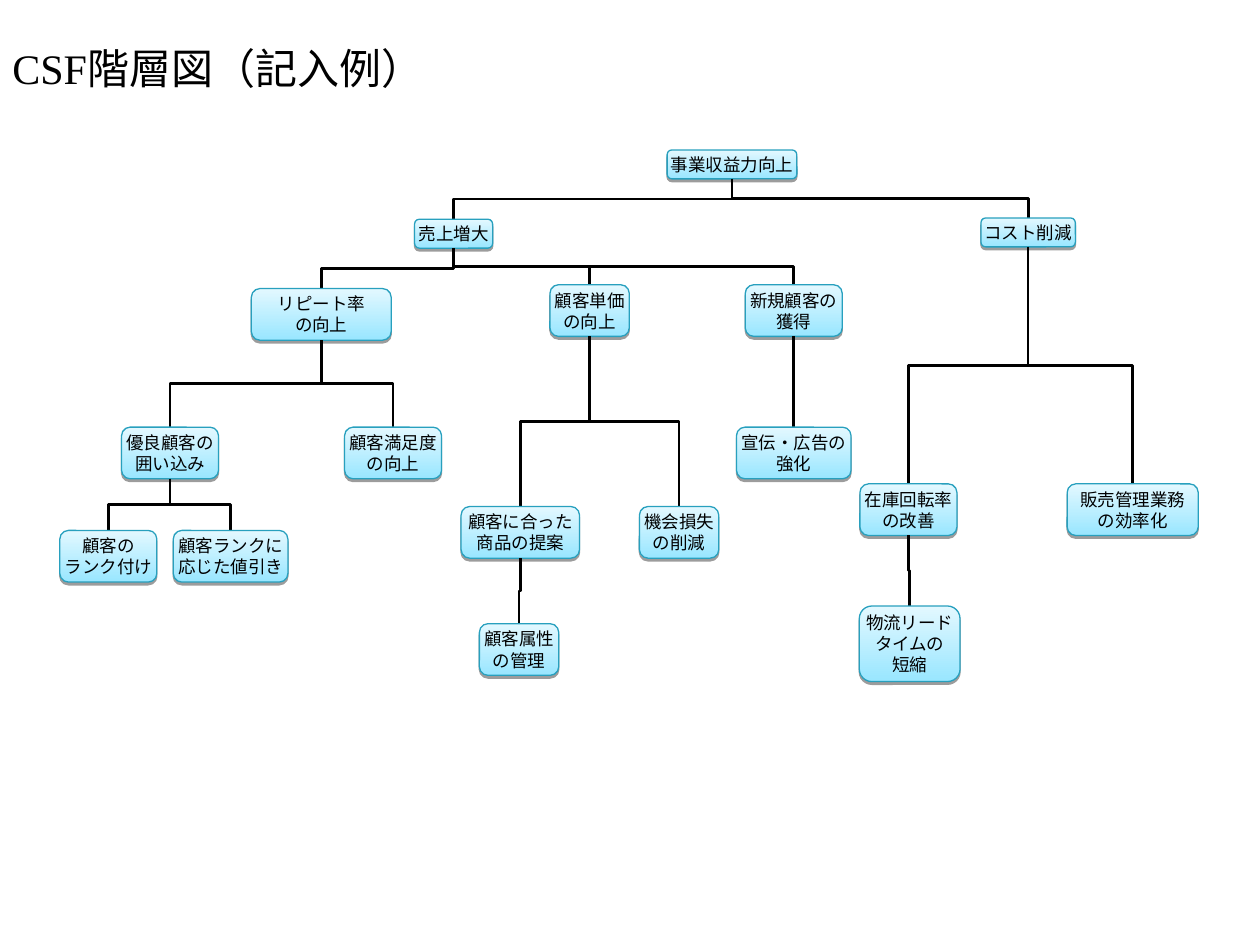
from dataclasses import dataclass

import pptx
import pptx.dml.color
import pptx.enum.shapes
import pptx.enum.text
import pptx.oxml
import pptx.oxml.ns
import pptx.util

WIDE, HIGH = pptx.util.Inches(10), pptx.util.Inches(7.5)
COL, ROW = WIDE // 1000, HIGH // 750  # fine grid over the slide
TALL = {1: 23, 2: 41, 3: 60}  # box height in rows, by lines of text
GOTHIC, ROMAN = "Noto Sans CJK JP", "Times New Roman"
NS = 'xmlns:a="http://schemas.openxmlformats.org/drawingml/2006/main"'
SHADE = (f'<a:effectLst {NS}><a:outerShdw blurRad="0" dist="20000" dir="5400000" '
         'rotWithShape="0"><a:srgbClr val="000000"><a:alpha val="38000"/>'
         '</a:srgbClr></a:outerShdw></a:effectLst>')


@dataclass
class Node:
    text: str
    mid: int  # centre column
    top: int  # top row
    wide: int  # columns
    kids: tuple = ()
    lines: int = 0  # lines of text, when the text wraps by itself

    @property
    def rows(self) -> int:
        return self.lines or self.text.count("\n") + 1

    @property
    def base(self) -> int:
        return self.top + TALL[self.rows]


# The tree of success factors
REPEAT = Node("リピート率\nの向上", 255, 229, 111, (
    Node("優良顧客の\n囲い込み", 135, 339, 77, (
        Node("顧客の\nランク付け", 86, 421, 77),
        Node("顧客ランクに\n応じた値引き", 183, 421, 91))),
    Node("顧客満足度\nの向上", 312, 339, 77)))
SPEND = Node("顧客単価\nの向上", 468, 226, 63, (
    Node("顧客に合った\n商品の提案", 413, 402, 94, (
        Node("顧客属性\nの管理", 412, 495, 63),)),
    Node("機会損失\nの削減", 539, 402, 63)))
FRESH = Node("新規顧客の\n獲得", 630, 226, 77, (
    Node("宣伝・広告の\n強化", 630, 339, 91),))
COST = Node("コスト削減", 816, 173, 75, (
    Node("在庫回転率\nの改善", 721, 384, 77, (
        Node("物流リード\nタイムの\n短縮", 722, 481, 80),)),
    Node("販売管理業務の効率化", 899, 384, 104, lines=2)))
SALES = Node("売上増大", 360, 174, 62, (REPEAT, SPEND, FRESH))
GOAL = Node("事業収益力向上", 581, 119, 103, (SALES, COST))


def tint(code: str) -> pptx.dml.color.RGBColor:
    return pptx.dml.color.RGBColor.from_string(code)


def write(para, text: str, size: int, face: str) -> None:
    run = para.add_run()
    run.text = text
    run.font.size = pptx.util.Pt(size)
    run.font.name = face
    run.font.color.rgb = tint("000000")
    east = pptx.oxml.parse_xml(f'<a:ea {NS} typeface="{GOTHIC}"/>')
    run.font._element.append(east)


def draw_box(slide, node: Node) -> None:
    box = slide.shapes.add_shape(
        pptx.enum.shapes.MSO_SHAPE.ROUNDED_RECTANGLE,
        round((node.mid - node.wide / 2) * COL), node.top * ROW,
        node.wide * COL, TALL[node.rows] * ROW)
    box.fill.gradient()
    box.fill.gradient_angle = 90
    for stop, code in zip(box.fill.gradient_stops, ("99E6FF", "E3F8FF")):
        stop.color.rgb = tint(code)
    box.line.color.rgb = tint("28A0BE")
    box.line.width = pptx.util.Pt(0.75)
    box._element.spPr.append(pptx.oxml.parse_xml(SHADE))

    frame = box.text_frame
    frame.word_wrap = node.lines > 0
    frame.vertical_anchor = pptx.enum.text.MSO_ANCHOR.MIDDLE
    frame.margin_left = frame.margin_right = 2 * COL
    frame.margin_top = frame.margin_bottom = 2 * ROW
    for i, line in enumerate(node.text.split("\n")):
        para = frame.paragraphs[0] if i == 0 else frame.add_paragraph()
        para.alignment = pptx.enum.text.PP_ALIGN.CENTER
        write(para, line, 10, GOTHIC)


def draw_link(slide, node: Node, kid: Node) -> None:
    kinds = pptx.enum.shapes.MSO_CONNECTOR
    shift = kid.mid - node.mid
    if shift == 0:
        link = slide.shapes.add_connector(
            kinds.STRAIGHT, node.mid * COL, node.base * ROW,
            kid.mid * COL, kid.top * ROW)
    else:
        # An elbow leaves sideways, so it is laid flat and turned to hang down
        x, y = (node.mid + kid.mid) * COL // 2, (node.base + kid.top) * ROW // 2
        half, rise = (kid.top - node.base) * ROW // 2, abs(shift) * COL // 2
        side = 1 if shift < 0 else -1
        link = slide.shapes.add_connector(
            kinds.ELBOW, x - side * half, y - rise, x + side * half, y + rise)
        turn = 90 if shift < 0 else 270
        frame = link._element.spPr.find(pptx.oxml.ns.qn("a:xfrm"))
        frame.set("rot", str(turn * 60000))
    link.line.color.rgb = tint("000000")
    link.line.width = pptx.util.Pt(1.5)
    link._element.spPr.append(pptx.oxml.parse_xml(f"<a:effectLst {NS}/>"))


def draw_tree(slide, node: Node) -> None:
    draw_box(slide, node)
    for kid in node.kids:
        draw_link(slide, node, kid)
        draw_tree(slide, kid)


def draw_title(slide, text: str) -> None:
    box = slide.shapes.add_textbox(0, 24 * ROW, WIDE, 60 * ROW)
    box.text_frame.word_wrap = True
    box.text_frame.vertical_anchor = pptx.enum.text.MSO_ANCHOR.MIDDLE
    write(box.text_frame.paragraphs[0], text, 24, ROMAN)


def main() -> None:
    deck = pptx.Presentation()
    deck.slide_width, deck.slide_height = WIDE, HIGH
    slide = deck.slides.add_slide(deck.slide_layouts[6])
    draw_tree(slide, GOAL)
    draw_title(slide, "CSF階層図（記入例）")
    deck.save("out.pptx")


if __name__ == "__main__":
    main()
